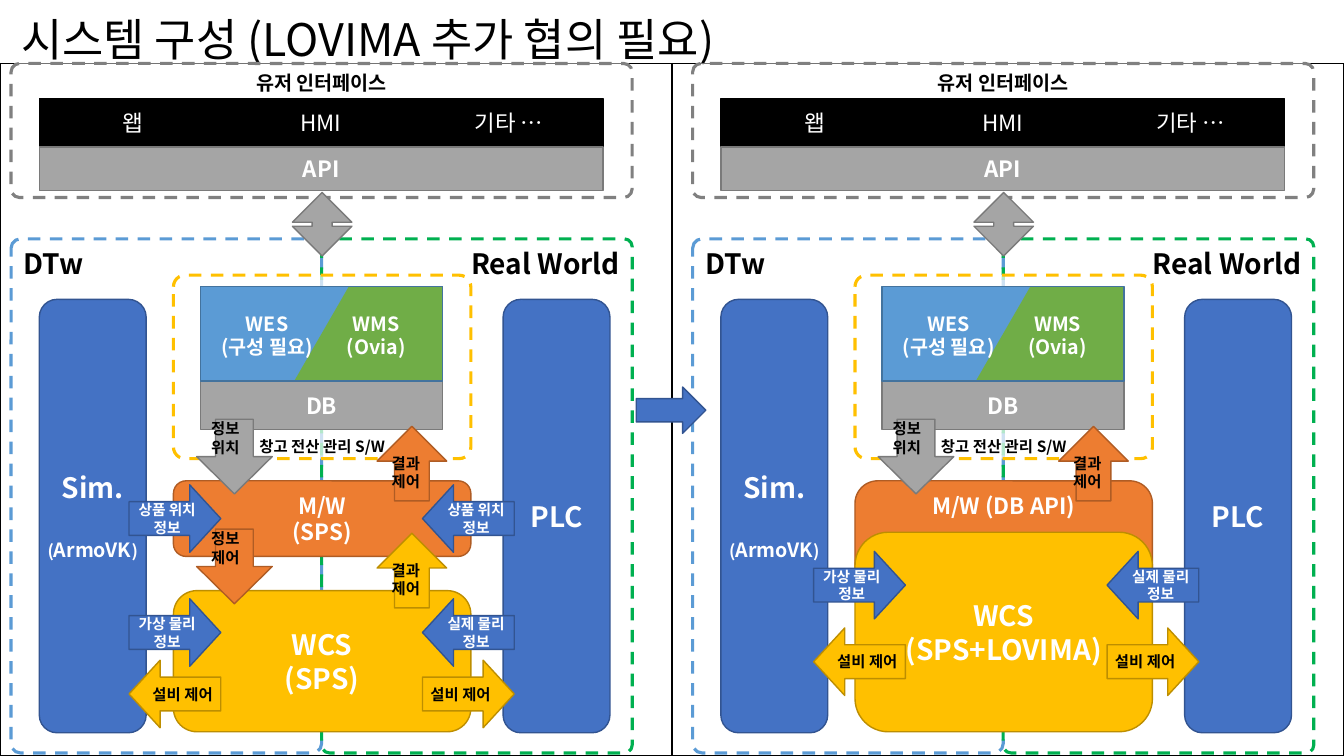
from pptx import Presentation
from pptx.dml.color import RGBColor
from pptx.enum.dml import MSO_LINE
from pptx.enum.shapes import MSO_SHAPE
from pptx.enum.text import MSO_ANCHOR, PP_ALIGN
from pptx.oxml.ns import qn
from pptx.util import Cm, Pt
from lxml.etree import SubElement

COLORS = {
    "black": "000000", "white": "FFFFFF", "gray": "A5A5A5", "gray edge": "7A7A7A",
    "blue": "4472C4", "blue edge": "325491", "orange": "ED7D31", "orange edge": "AF5C24",
    "yellow": "FFC000", "yellow edge": "BD8E00", "sky": "5B9BD5", "sky edge": "43739E",
    "grass": "70AD47", "green": "00B050", "frame": "808080", "black edge": "000000",
}
FONT = "Noto Sans CJK KR"
UNIT = 2.54
SIDE_STEP = 6.76
NO_INSETS = (0, 0, 0, 0)
FRAME_INSETS = (0.1, 0.05, 0.1, 0)


def length(value):
    """Turn a grid unit into a length."""
    return Cm(value * UNIT)


def color(name):
    """Look up a named colour."""
    return RGBColor.from_string(COLORS[name])


class Diagram:
    """Holds the slide, the current group and the shared style."""

    def __init__(self, page):
        self.page = page
        self.shapes = page.shapes
        self.shift = 0

    def start_side(self, shift):
        """Open a group for one half of the slide."""
        self.shapes = self.page.shapes.add_group_shape().shapes
        self.shift = shift

    def end_side(self):
        """Return to the slide itself."""
        self.shapes = self.page.shapes
        self.shift = 0

    def add_span(self, para, text, size, ink, bold):
        """Add one formatted run."""
        span = para.add_run()
        span.text = text
        span.font.size = Pt(size)
        span.font.bold = bold
        span.font.color.rgb = color(ink)
        span.font.name = FONT
        SubElement(span.font._element, qn("a:ea"), typeface=FONT)

    def add_text(self, box, lines, size, ink="white", bold=True, align=PP_ALIGN.CENTER,
                 anchor=MSO_ANCHOR.MIDDLE, insets=(0.1, 0.05, 0.1, 0.05), wrap=True):
        """Fill a box with paragraphs; a line is a string or a list of sized runs."""
        frame = box.text_frame
        frame.word_wrap = wrap
        frame.vertical_anchor = anchor
        (frame.margin_left, frame.margin_top,
         frame.margin_right, frame.margin_bottom) = map(length, insets)
        for index, line in enumerate(lines):
            para = frame.add_paragraph() if index else frame.paragraphs[0]
            para.alignment = align
            spans = [(line, size)] if isinstance(line, str) else line
            for text, span_size in spans:
                self.add_span(para, text, span_size, ink, bold)
        return frame

    def add_title(self, text):
        """Place and format the title."""
        title = self.page.shapes.title
        title.left, title.top, title.width, title.height = map(length, (0.11, 0.12, 7.61, 0.59))
        frame = self.add_text(title, [text], 32, "black", False, PP_ALIGN.LEFT)
        frame.paragraphs[0].line_spacing = 0.9

    def add_halves(self):
        """Draw the two-cell table behind the diagrams."""
        table = self.page.shapes.add_table(1, 2, *map(length, (0, 0.63, 13.33, 6.87))).table
        table.first_row = table.horz_banding = False
        for cell in table.iter_cells():
            props = cell._tc.get_or_add_tcPr()
            for side in ("a:lnL", "a:lnR", "a:lnT", "a:lnB"):
                edge = SubElement(props, qn(side), w=str(Pt(1)))
                ink = SubElement(edge, qn("a:solidFill"))
                SubElement(ink, qn("a:srgbClr"), val=COLORS["black"])
            cell.fill.background()

    def add_box(self, kind, at, fill, adjust=()):
        """Draw a solid shape with its matching edge."""
        left, top, width, height = at
        box = self.shapes.add_shape(kind, *map(length, (left + self.shift, top, width, height)))
        box.shadow.inherit = False
        for index, value in enumerate(adjust):
            box.adjustments[index] = value
        box.fill.solid()
        box.fill.fore_color.rgb = color(fill)
        if fill + " edge" in COLORS:
            box.line.color.rgb = color(fill + " edge")
        box.line.width = Pt(1)
        return box

    def add_frame(self, at, edge, radius, veiled):
        """Draw a dashed frame, clear or with a white veil."""
        box = self.add_box(MSO_SHAPE.ROUNDED_RECTANGLE, at, "white", (radius,))
        if veiled:
            tint = box.fill._xPr.find(qn("a:solidFill"))[0]
            SubElement(tint, qn("a:alpha"), val="70000")
        else:
            box.fill.background()
        box.line.color.rgb = color(edge)
        box.line.width = Pt(2.25)
        box.line.dash_style = MSO_LINE.DASH
        return box

    def add_block(self, at, fill, lines, size, radius=0.1667, **text):
        """Draw a labelled rounded block."""
        box = self.add_box(MSO_SHAPE.ROUNDED_RECTANGLE, at, fill, (radius,))
        return self.add_text(box, lines, size, **text)

    def add_side_arrow(self, kind, left, top, fill, label):
        """Draw a labelled horizontal arrow."""
        box = self.add_box(kind, (left, top, 0.91, 0.67), fill, (0.5, 0.46))
        size, ink = (10.5, "white") if fill == "blue" else (11, "black")
        self.add_text(box, [label], size, ink, insets=NO_INSETS)

    def add_down_arrow(self, top, fill, lines):
        """Draw a labelled arrow pointing down."""
        box = self.add_box(MSO_SHAPE.DOWN_ARROW, (1.95, top, 0.75, 0.74), fill)
        self.add_text(box, lines, 11, "black", anchor=MSO_ANCHOR.TOP,
                      insets=(0, 0, 0.18, 0), wrap=False)

    def add_up_arrow(self, top, fill, lines):
        """Draw a labelled arrow pointing up."""
        box = self.add_box(MSO_SHAPE.UP_ARROW, (3.74, top, 0.69, 0.74), fill)
        self.add_text(box, lines, 11, "black", insets=(0, 0, 0.12, 0), wrap=False)

    def add_worlds(self):
        """Draw the twin and real-world frames with their towers."""
        twin = self.add_frame((0.11, 2.37, 3.08, 5.1), "sky", 0.03, False)
        self.add_text(twin, ["DTw"], 20, "black", align=PP_ALIGN.LEFT, anchor=MSO_ANCHOR.TOP)
        real = self.add_frame((3.19, 2.37, 3.08, 5.1), "green", 0.025, False)
        self.add_text(real, ["Real World"], 20, "black", align=PP_ALIGN.RIGHT,
                      anchor=MSO_ANCHOR.TOP)
        simulator = ["Sim.", [("(", 12), ("ArmoVK", 14), (")", 12)]]
        frame = self.add_block((0.39, 2.97, 1.06, 4.3), "blue", simulator, 20, insets=NO_INSETS)
        frame.paragraphs[1].space_before = Pt(24)
        self.add_block((4.99, 2.97, 1.06, 4.3), "blue", ["PLC"], 20, insets=NO_INSETS)

    def add_warehouse(self):
        """Draw the warehouse software frame and its contents."""
        frame = self.add_frame((1.72, 2.73, 2.95, 1.82), "yellow", 0.063, True)
        self.add_text(frame, ["창고 전산 관리 S/W"], 11, "black",
                      anchor=MSO_ANCHOR.BOTTOM, insets=FRAME_INSETS)
        self.add_block((1.99, 3.78, 2.4, 0.48), "gray", ["DB"], 16, 0)
        self.add_down_arrow(4.16, "gray", ["정보", "위치"])
        self.add_up_arrow(4.23, "orange", ["결과", "제어"])
        systems = self.add_box(MSO_SHAPE.RECTANGLE, (1.99, 2.84, 2.4, 0.94), "sky")
        systems.fill.gradient()
        systems.fill.gradient_angle = 330
        for stop, name in zip(systems.fill.gradient_stops, ("sky", "grass")):
            stop.position = 0.5
            stop.color.rgb = color(name)
        frame = self.add_text(systems, ["WES", "(구성 필요)", "WMS", "(Ovia)"], 14,
                              insets=(0.16, 0.31, 0.16, 0.28))
        columns = frame._txBody.bodyPr
        columns.set("numCol", "2")
        columns.set("spcCol", str(length(0.08)))

    def add_interface(self):
        """Draw the user interface frame and its link."""
        frame = self.add_frame((0.11, 0.63, 6.16, 1.33), "frame", 0.063, True)
        self.add_text(frame, ["유저 인터페이스"], 14, "black",
                      anchor=MSO_ANCHOR.TOP, insets=FRAME_INSETS)
        for column, label in enumerate(("왭", "HMI", "기타 …")):
            self.add_block((0.39 + 1.865 * column, 0.98, 1.86, 0.48), "black", [label], 16, 0,
                           bold=False)
        self.add_block((0.39, 1.46, 5.59, 0.43), "gray", ["API"], 16, 0)
        self.add_box(MSO_SHAPE.UP_DOWN_ARROW, (2.9, 1.91, 0.59, 0.63), "gray", (0.5, 0.335))

    def add_exchange(self, top, fill, labels, inward, nudge=0):
        """Draw a left and right pair of arrows pointing in or out."""
        kinds = [MSO_SHAPE.RIGHT_ARROW, MSO_SHAPE.LEFT_ARROW]
        for kind, left, label in zip(kinds if inward else kinds[::-1], (1.28, 4.19), labels):
            self.add_side_arrow(kind, left + nudge, top, fill, label)


def main():
    """Build and save the slide."""
    deck = Presentation()
    deck.slide_width, deck.slide_height = length(13.33), length(7.5)
    diagram = Diagram(deck.slides.add_slide(deck.slide_layouts[5]))
    diagram.add_halves()
    diagram.add_title("시스템 구성 (LOVIMA 추가 협의 필요)")
    physical = ("가상 물리 정보", "실제 물리 정보")
    control = ("설비 제어", "설비 제어")

    diagram.start_side(0)
    diagram.add_worlds()
    diagram.add_block((1.72, 5.86, 2.95, 1.4), "yellow", ["WCS", "(SPS)"], 20)
    diagram.add_block((1.72, 4.77, 2.95, 0.75), "orange", ["M/W", "(SPS)"], 16)
    diagram.add_down_arrow(5.25, "orange", ["정보", "제어"])
    diagram.add_up_arrow(5.29, "yellow", ["결과", "제어"])
    diagram.add_warehouse()
    diagram.add_exchange(6.55, "yellow", control, False)
    diagram.add_exchange(5.94, "blue", physical, True)
    diagram.add_exchange(4.81, "blue", ("상품 위치 정보", "상품 위치 정보"), True)
    diagram.add_interface()

    diagram.start_side(SIDE_STEP)
    diagram.add_worlds()
    diagram.add_block((1.72, 4.77, 2.95, 1.35), "orange", ["M/W (DB API)"], 16,
                      anchor=MSO_ANCHOR.TOP)
    diagram.add_block((1.72, 5.28, 2.95, 1.98), "yellow", ["WCS", "(SPS+LOVIMA)"], 20)
    diagram.add_warehouse()
    diagram.add_exchange(6.23, "yellow", control, False, 0.03)
    diagram.add_exchange(5.47, "blue", physical, True, 0.03)
    diagram.add_interface()

    diagram.end_side()
    diagram.add_box(MSO_SHAPE.RIGHT_ARROW, (6.31, 3.84, 0.69, 0.46), "blue")
    deck.save("out.pptx")


if __name__ == "__main__":
    main()
